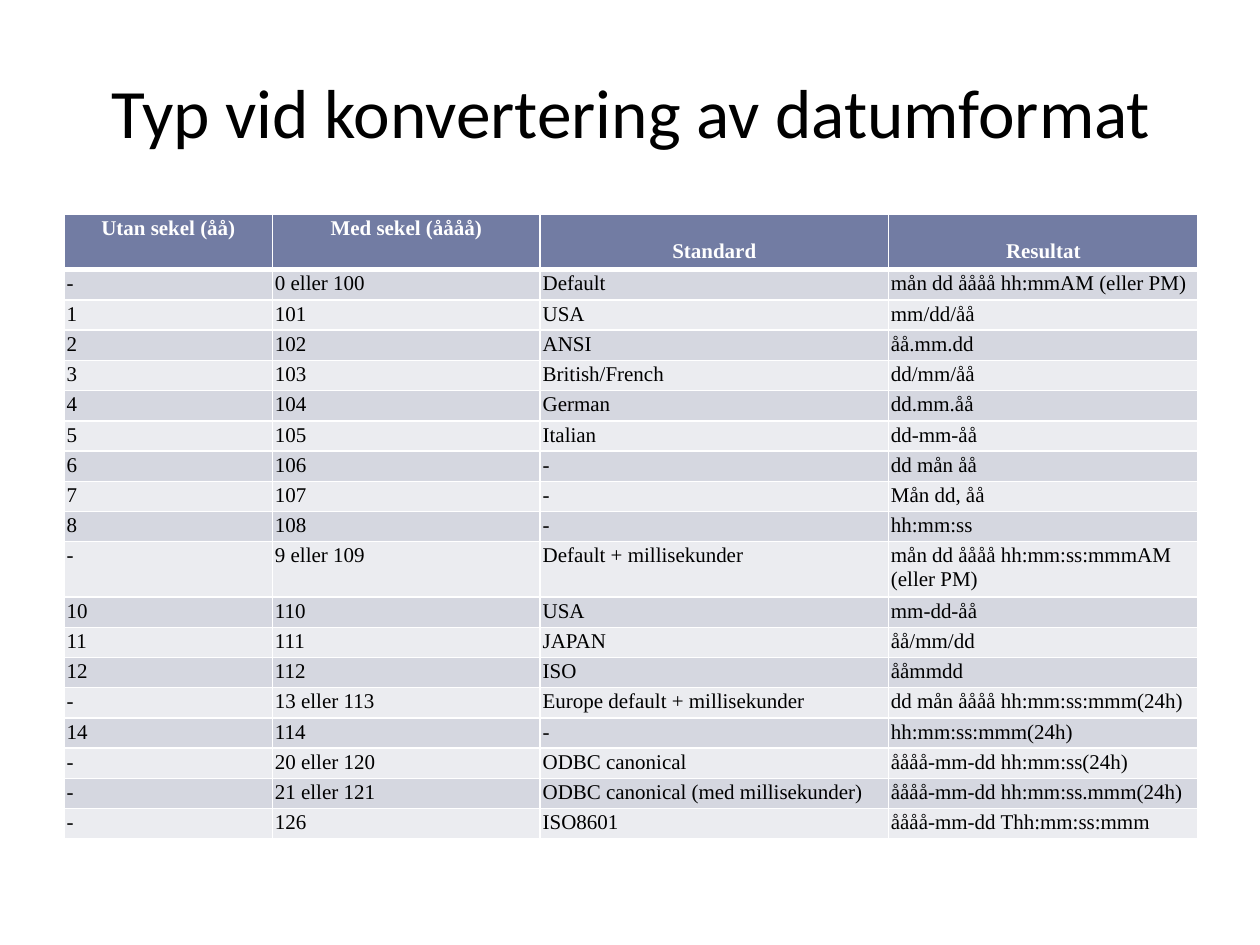
import copy
import dataclasses

import lxml.etree
import pptx
import pptx.dml.color
import pptx.enum.text
import pptx.oxml.ns
import pptx.util

Pt = pptx.util.Pt
qn = pptx.oxml.ns.qn
Align = pptx.enum.text.PP_ALIGN
Anchor = pptx.enum.text.MSO_ANCHOR


@dataclasses.dataclass(frozen=True)
class Theme:
    title_font: str = "Calibri"
    table_font: str = "Times New Roman"
    title_size: float = 39.6
    table_size: float = 12
    ink: str = "000000"
    white: str = "FFFFFF"
    header: str = "727CA3"
    bands: tuple = ("D5D7E0", "EBECF0")
    thin_line: float = 1
    thick_line: float = 3
    cell_margin: float = 1.44


HEADINGS = ("Utan sekel (åå)", "Med sekel (åååå)", "\nStandard", "\nResultat")
FORMATS = (
    ("-", "0 eller 100", "Default", "mån dd åååå hh:mmAM (eller PM)"),
    ("1", "101", "USA", "mm/dd/åå"),
    ("2", "102", "ANSI", "åå.mm.dd"),
    ("3", "103", "British/French", "dd/mm/åå"),
    ("4", "104", "German", "dd.mm.åå"),
    ("5", "105", "Italian", "dd-mm-åå"),
    ("6", "106", "-", "dd mån åå"),
    ("7", "107", "-", "Mån dd, åå"),
    ("8", "108", "-", "hh:mm:ss"),
    ("-", "9 eller 109", "Default + millisekunder", "mån dd åååå hh:mm:ss:mmmAM (eller PM)"),
    ("10", "110", "USA", "mm-dd-åå"),
    ("11", "111", "JAPAN", "åå/mm/dd"),
    ("12", "112", "ISO", "ååmmdd"),
    ("-", "13 eller 113", "Europe default + millisekunder", "dd mån åååå hh:mm:ss:mmm(24h)"),
    ("14", "114", "-", "hh:mm:ss:mmm(24h)"),
    ("-", "20 eller 120", "ODBC canonical", "åååå-mm-dd hh:mm:ss(24h)"),
    ("-", "21 eller 121", "ODBC canonical (med millisekunder)", "åååå-mm-dd hh:mm:ss.mmm(24h)"),
    ("-", "126", "ISO8601", "åååå-mm-dd Thh:mm:ss:mmm"),
)
COLUMN_WIDTHS = (119, 153, 199, 177)
ROW_HEIGHT = 17


def assign(target, values):
    for name, value in values.items():
        setattr(target, name, value)


class PageBuilder:
    def __init__(self, page, theme):
        self.page = page
        self.theme = theme

    def label(self, para, text, color, align, **font):
        para.alignment = align
        lead, _, words = text.rpartition("\n")
        has_break = words != text
        if has_break:
            para.add_line_break()
        span = para.add_run()
        span.text = words
        assign(span.font, font)
        span.font.color.rgb = pptx.dml.color.RGBColor.from_string(color)
        if has_break:
            para._p.find(qn("a:br")).append(copy.deepcopy(span.font._element))

    def title(self, text, left, top, width, height):
        box = self.page.shapes.add_textbox(Pt(left), Pt(top), Pt(width), Pt(height))
        assign(box.text_frame, {"word_wrap": True, "vertical_anchor": Anchor.MIDDLE})
        self.label(box.text_frame.paragraphs[0], text, self.theme.ink, Align.CENTER,
                   name=self.theme.title_font, size=Pt(self.theme.title_size))

    def borders(self, cell, **widths):
        properties = cell._tc.get_or_add_tcPr()
        for side in "LRTB":
            width = widths.get(side, self.theme.thin_line)
            line = lxml.etree.SubElement(properties, qn(f"a:ln{side}"), w=str(Pt(width)))
            fill = lxml.etree.SubElement(line, qn("a:solidFill"))
            lxml.etree.SubElement(fill, qn("a:srgbClr"), val=self.theme.white)

    def cell(self, cell, text, row):
        theme = self.theme
        is_header = row == 0
        margin = Pt(theme.cell_margin)
        assign(cell, {f"margin_{side}": margin for side in ("left", "right", "top", "bottom")})
        thick_side = {0: "B", 1: "T"}.get(row)
        self.borders(cell, **({thick_side: theme.thick_line} if thick_side else {}))
        cell.fill.solid()
        shade = theme.header if is_header else theme.bands[(row - 1) % 2]
        cell.fill.fore_color.rgb = pptx.dml.color.RGBColor.from_string(shade)
        self.label(cell.text_frame.paragraphs[0], text,
                   theme.white if is_header else theme.ink,
                   Align.CENTER if is_header else Align.LEFT,
                   name=theme.table_font, size=Pt(theme.table_size), bold=is_header)

    def table(self, rows, left, top, column_widths, row_height):
        frame = self.page.shapes.add_table(
            len(rows), len(column_widths), Pt(left), Pt(top),
            Pt(sum(column_widths)), Pt(row_height * len(rows)))
        table = frame.table
        assign(table, {"first_row": False, "horz_banding": False})
        for column, width in zip(table.columns, column_widths):
            column.width = Pt(width)
        for row, texts in enumerate(rows):
            table.rows[row].height = Pt(row_height)
            for column, text in enumerate(texts):
                self.cell(table.cell(row, column), text, row)


def main():
    deck = pptx.Presentation()
    assign(deck, {"slide_width": Pt(720), "slide_height": Pt(540)})
    builder = PageBuilder(deck.slides.add_slide(deck.slide_layouts[6]), Theme())
    builder.title("Typ vid konvertering av datumformat", 36.7, 18, 648, 90)
    builder.table((HEADINGS, *FORMATS), 36.7, 122.5, COLUMN_WIDTHS, ROW_HEIGHT)
    deck.save("out.pptx")


if __name__ == "__main__":
    main()
